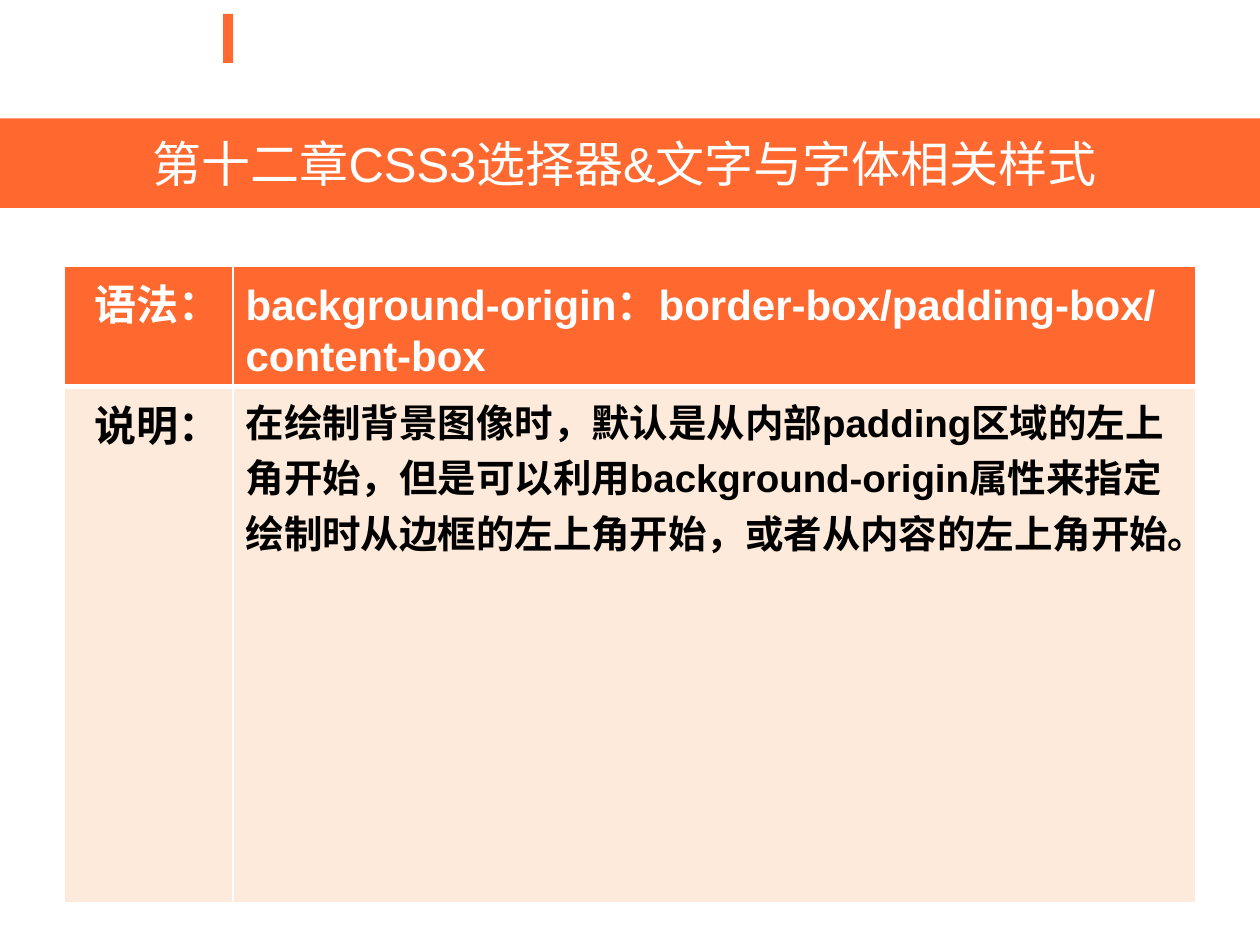
"""Build a slide on the CSS background-origin property."""
import pptx
import pptx.dml.color
import pptx.enum.shapes
import pptx.enum.text
import pptx.oxml
import pptx.oxml.ns
import pptx.util

Inches = pptx.util.Inches
Pt = pptx.util.Pt
ALIGN = pptx.enum.text.PP_ALIGN
ORANGE, CREAM, WHITE, BLACK = "FF682F", "FDEADA", "FFFFFF", "000000"


def set_fill(target, color):
    """Give a shape, cell or font a solid colour."""
    target.fill.solid()
    target.fill.fore_color.rgb = pptx.dml.color.RGBColor.from_string(color)


def write_text(tf, text, size=24, color=BLACK, bold=False, align=ALIGN.LEFT):
    """Write one formatted paragraph into a text frame."""
    p = tf.paragraphs[0]
    p.alignment = align
    r = p.add_run()
    r.text = text
    r.font.name = "Arial"
    r.font.size = Pt(size)
    r.font.bold = bold
    r.font.color.rgb = pptx.dml.color.RGBColor.from_string(color)


def add_accent(s):
    """Add the small upright bar at the top."""
    sp = s.shapes.add_shape(
        pptx.enum.shapes.MSO_SHAPE.RECTANGLE,
        Inches(1.77), Inches(0.11), Inches(0.08), Inches(0.39))
    sp.shadow.inherit = False
    sp.line.fill.background()
    set_fill(sp, ORANGE)


def add_title(s, text):
    """Turn the title placeholder into a full-width band."""
    sp = s.shapes.title
    sp.left, sp.top = Inches(0), Inches(0.94)
    sp.width, sp.height = Inches(10), Inches(0.71)
    set_fill(sp, ORANGE)
    tf = sp.text_frame
    tf.vertical_anchor = pptx.enum.text.MSO_ANCHOR.MIDDLE
    write_text(tf, text, size=28, color=WHITE, align=ALIGN.CENTER)


def set_borders(cell, **widths):
    """Draw white cell borders, given widths in points by side."""
    tc_pr = cell._tc.get_or_add_tcPr()
    for side in "LRTB":
        width = Pt(widths.get(side, 1))
        tc_pr.append(pptx.oxml.parse_xml(
            f'<a:ln{side} {pptx.oxml.ns.nsdecls("a")} w="{width}"><a:solidFill>'
            f'<a:srgbClr val="{WHITE}"/></a:solidFill></a:ln{side}>'))


def add_syntax_table(s, rows):
    """Add the two-column table of labels and their text."""
    widths, heights = (1.34, 7.64), (0.89, 4.1)
    table = s.shapes.add_table(
        len(rows), len(widths), Inches(0.51), Inches(2.11),
        Inches(sum(widths)), Inches(sum(heights))).table
    for column, width in zip(table.columns, widths):
        column.width = Inches(width)
    for i, (label, text, size) in enumerate(rows):
        table.rows[i].height = Inches(heights[i])
        fill, color = (CREAM, BLACK) if i else (ORANGE, WHITE)
        borders = {"T": 3} if i else {"B": 3}
        contents = ((label, 24, ALIGN.RIGHT), (text, size, ALIGN.LEFT))
        for j, (content, points, align) in enumerate(contents):
            cell = table.cell(i, j)
            set_borders(cell, **borders)
            set_fill(cell, fill)
            write_text(cell.text_frame, content, size=points, color=color,
                       bold=True, align=align)


def main():
    """Build and save the slide."""
    prs = pptx.Presentation()
    prs.slide_width, prs.slide_height = Inches(10), Inches(7.5)
    s = prs.slides.add_slide(prs.slide_layouts[5])
    add_accent(s)
    add_title(s, "第十二章CSS3选择器&文字与字体相关样式 ")
    add_syntax_table(s, [
        ("语法：", "background-origin：border-box/padding-box/content-box", 24),
        ("说明：", "在绘制背景图像时，默认是从内部padding区域的左上角开始，"
                 "但是可以利用background-origin属性来指定绘制时从边框的左上角开始，"
                 "或者从内容的左上角开始。", 22),
    ])
    prs.save("out.pptx")


if __name__ == "__main__":
    main()
